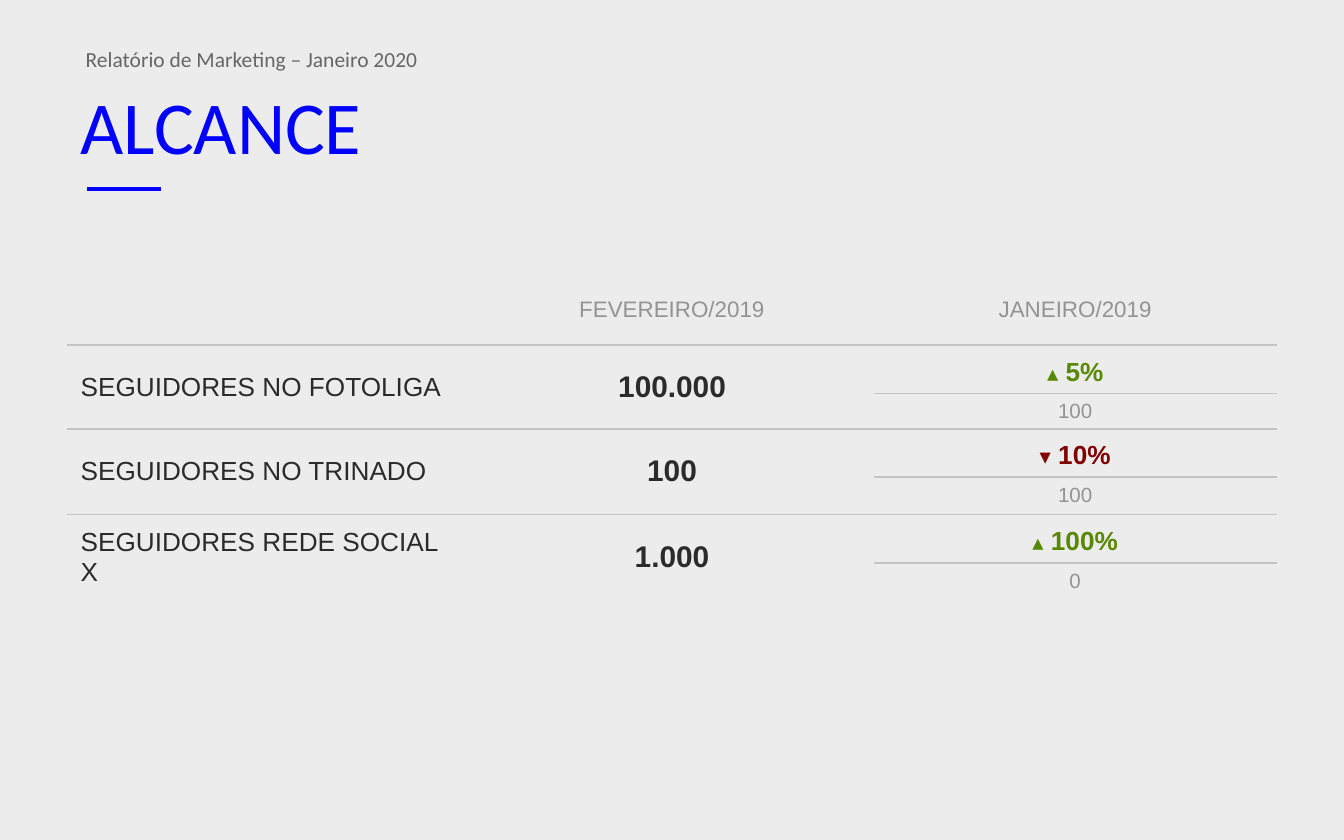
from lxml import etree
from pptx import Presentation
from pptx.dml.color import RGBColor
from pptx.enum.shapes import MSO_CONNECTOR
from pptx.enum.text import MSO_ANCHOR, PP_ALIGN
from pptx.oxml.ns import qn
from pptx.util import Cm, Pt

STRAIGHT = MSO_CONNECTOR.STRAIGHT
TOP, MIDDLE = MSO_ANCHOR.TOP, MSO_ANCHOR.MIDDLE
LEFT, CENTER = PP_ALIGN.LEFT, PP_ALIGN.CENTER
NO_STYLE = "{2D5ABB26-0587-4C30-8999-92F81FD0307C}"

BLUE, GREEN, RED = "0000FF", "588800", "800000"
DARK, GRAY, RULE = "2B2B2B", "939393", "C4C4C4"

MONTHS = ["FEVEREIRO/2019", "JANEIRO/2019"]
# Network, current value, arrow, change, previous value
NETWORKS = [
    ("SEGUIDORES NO FOTOLIGA", "100.000", "▴", "5%", "100"),
    ("SEGUIDORES NO TRINADO", "100", "▾", "10%", "100"),
    ("SEGUIDORES REDE SOCIAL X", "1.000", "▴", "100%", "0"),
]


def rgb(value):
    return RGBColor.from_string(value)


class ReportSlide:
    heading_font = "Calibri"
    table_font = "Arial"

    def __init__(self, slide):
        self.slide = slide
        slide.background.fill.solid()
        slide.background.fill.fore_color.rgb = rgb("ECECEC")

    def style(self, run, size, color, font, bold=False):
        run.font.size = Pt(size)
        run.font.name = font
        run.font.bold = bold
        run.font.color.rgb = rgb(color)

    def heading(self, text, left, top, height, size, color, anchor, spacing):
        box = self.slide.shapes.add_textbox(Cm(left), Cm(top), Cm(22.86), Cm(height))
        frame = box.text_frame
        frame.word_wrap = True
        frame.vertical_anchor = anchor
        frame.text = text
        frame.paragraphs[0].line_spacing = spacing
        self.style(frame.paragraphs[0].runs[0], size, color, self.heading_font)

    def line(self, left, top, width, color, weight):
        rule = self.slide.shapes.add_connector(
            STRAIGHT, Cm(left), Cm(top), Cm(left + width), Cm(top))
        rule.line.color.rgb = rgb(color)
        rule.line.width = Pt(weight)
        etree.SubElement(rule._element.spPr, qn("a:effectLst"))

    def table(self, left, top, column_width, columns, row_heights):
        grid = self.slide.shapes.add_table(
            len(row_heights), columns, Cm(left), Cm(top),
            Cm(column_width * columns), Cm(sum(row_heights))).table
        grid.first_row = grid.horz_banding = False
        grid._tbl.tblPr.find(qn("a:tableStyleId")).text = NO_STYLE
        for column in grid.columns:
            column.width = Cm(column_width)
        for row, height in zip(grid.rows, row_heights):
            row.height = Cm(height)
        return grid

    def cell(self, cell, parts, align=CENTER, anchor=MIDDLE, bold=False, spacing=None):
        """Fill a cell with parts given as (text, size, color)."""
        cell.vertical_anchor = anchor
        cell.margin_top = cell.margin_bottom = Cm(0.1)
        paragraph = cell.text_frame.paragraphs[0]
        paragraph.alignment = align
        paragraph.line_spacing = spacing
        for text, size, color in parts:
            run = paragraph.add_run()
            run.text = text
            self.style(run, size, color, self.table_font, bold)

    def border(self, cell, side):
        edge = etree.SubElement(cell._tc.get_or_add_tcPr(), qn(f"a:{side}"), w=str(Pt(1)))
        fill = etree.SubElement(edge, qn("a:solidFill"))
        etree.SubElement(fill, qn("a:srgbClr"), val=RULE)


def main():
    deck = Presentation()
    deck.slide_width, deck.slide_height = Cm(25.4), Cm(15.88)
    report = ReportSlide(deck.slides.add_slide(deck.slide_layouts[6]))

    # Heading
    report.line(1.65, 3.57, 1.4, BLUE, 2)
    report.heading("ALCANCE", 1.27, 1.47, 1.78, 40, BLUE, MIDDLE, 1.0)
    report.heading("Relatório de Marketing – Janeiro 2020",
                   1.37, 0.84, 0.69, 11.5, "666666", TOP, 0.8)

    # Table: a header row, then two rows for each network
    heights = [0.92, 0.88, 0.66] + [0.88, 0.71] * 2
    reach = report.table(1.27, 5.51, 7.62, 3, heights)
    for column, month in enumerate(MONTHS, start=1):
        report.cell(reach.cell(0, column), [(month, 12, GRAY)], anchor=TOP)

    for index, (network, current, arrow, change, previous) in enumerate(NETWORKS):
        upper = 1 + 2 * index
        for column in (0, 1):
            reach.cell(upper, column).merge(reach.cell(upper + 1, column))
        report.cell(reach.cell(upper, 0), [(network, 14, DARK)], align=LEFT)
        report.cell(reach.cell(upper, 1), [(current, 16, DARK)], bold=True)
        trend = GREEN if arrow == "▴" else RED
        report.cell(reach.cell(upper, 2), [(arrow, 12, trend), (f" {change}", 14, trend)],
                    bold=True, spacing=1.2)
        report.cell(reach.cell(upper + 1, 2), [(previous, 11, GRAY)])

    # Rules between rows; merged cells are ruled only at their outer edges
    last = len(heights) - 1
    for row in range(last + 1):
        for column in range(3):
            cell = reach.cell(row, column)
            if row % 2:
                report.border(cell, "lnT")
            if row + (cell.span_height if cell.is_merge_origin else 1) - 1 < last:
                report.border(cell, "lnB")
            cell.fill.background()

    deck.save("out.pptx")


if __name__ == "__main__":
    main()
